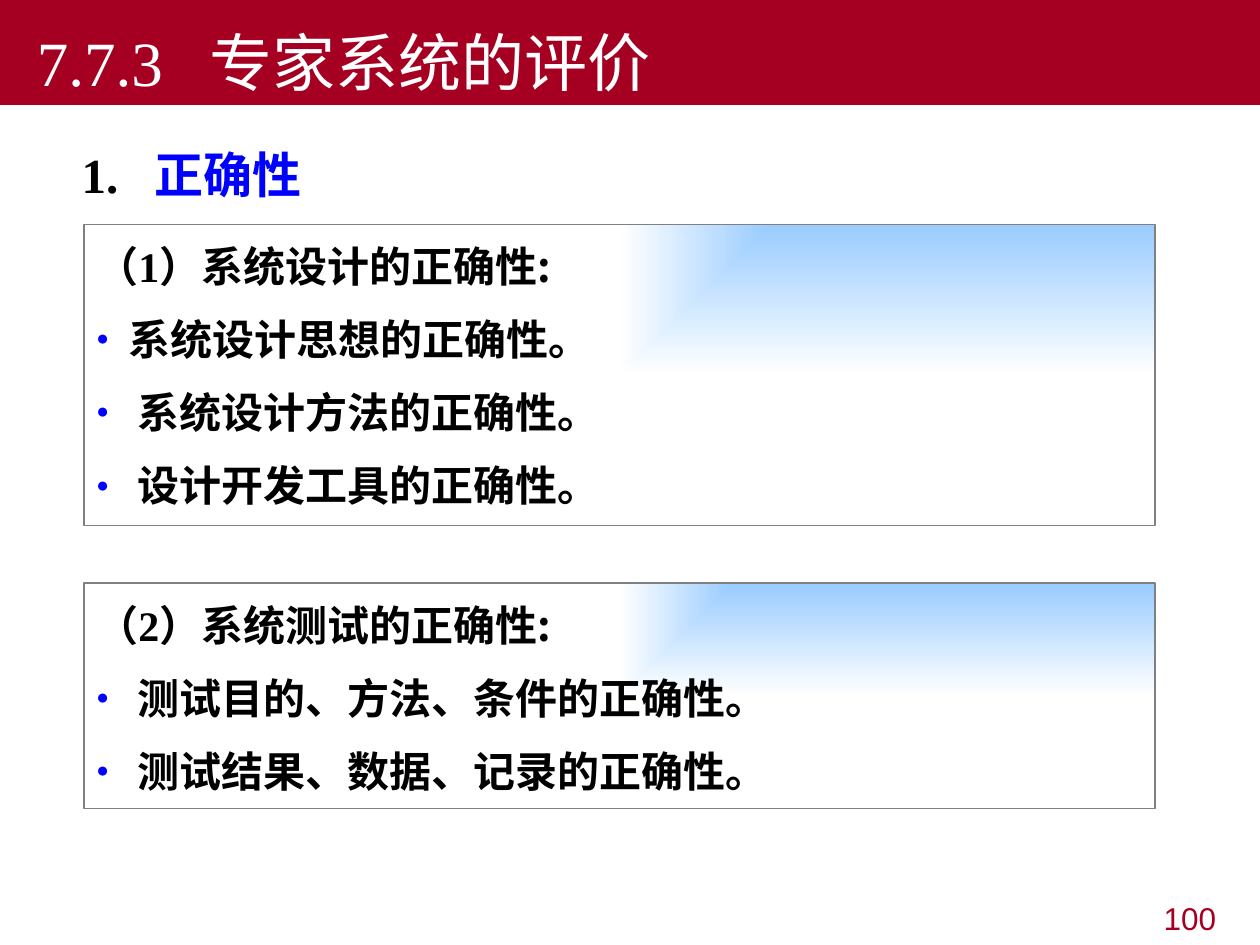
"""Build the slide on judging the correctness of an expert system."""
from lxml import etree
from pptx import Presentation
from pptx.dml.color import RGBColor
from pptx.enum.shapes import MSO_SHAPE
from pptx.enum.text import MSO_ANCHOR, PP_ALIGN
from pptx.oxml.ns import qn
from pptx.util import Pt

RECTANGLE = MSO_SHAPE.RECTANGLE
TOP, BOTTOM = MSO_ANCHOR.TOP, MSO_ANCHOR.BOTTOM
LEFT, RIGHT = PP_ALIGN.LEFT, PP_ALIGN.RIGHT


def rgb(value):
    """Turn a hex string into a colour."""
    return RGBColor.from_string(value)


class SlideBuilder:
    """Hold the style and the current slide, and draw each kind of element."""

    RED, BLUE, SKY = "A50021", "0000FF", "99CCFF"
    BLACK, WHITE, GREY = "000000", "FFFFFF", "808080"
    SERIF, SANS, CHINESE = "Times New Roman", "Arial", "Noto Sans CJK SC"

    def __init__(self, presentation):
        self.slide = presentation.slides.add_slide(presentation.slide_layouts[6])

    def run(self, paragraph, text, size, color, font, bold=False):
        """Add one formatted run."""
        run = paragraph.add_run()
        run.text = text
        run.font.size = Pt(size)
        run.font.bold = bold
        run.font.color.rgb = rgb(color)
        run.font.name = font
        etree.SubElement(run.font._element, qn("a:ea"), typeface=self.CHINESE)

    def indent(self, paragraph, margin, first=0, tab=False):
        """Set the left margin and first-line offset, with a tab stop at the margin."""
        properties = paragraph._p.get_or_add_pPr()
        properties.set("marL", str(Pt(margin)))
        properties.set("indent", str(Pt(first)))
        if tab:
            stops = etree.SubElement(properties, qn("a:tabLst"))
            etree.SubElement(stops, qn("a:tab"), pos=str(Pt(margin)), algn="l")

    def bullet(self, paragraph, hang):
        """Give a paragraph a small blue bullet."""
        self.indent(paragraph, hang, -hang)
        properties = paragraph._p.get_or_add_pPr()
        color = etree.SubElement(properties, qn("a:buClr"))
        etree.SubElement(color, qn("a:srgbClr"), val=self.BLUE)
        etree.SubElement(properties, qn("a:buSzPct"), val="50000")
        etree.SubElement(properties, qn("a:buFont"), typeface=self.SERIF)
        etree.SubElement(properties, qn("a:buChar"), char="●")

    def rectangle(self, left, top, width, height, anchor):
        """Add a plain rectangle and return it."""
        shape = self.slide.shapes.add_shape(
            RECTANGLE, Pt(left), Pt(top), Pt(width), Pt(height))
        shape.shadow.inherit = False
        shape.text_frame.word_wrap = True
        shape.text_frame.vertical_anchor = anchor
        return shape

    def text_box(self, left, top, width, height, align=LEFT):
        """Add a wrapping text box and return its first paragraph."""
        frame = self.slide.shapes.add_textbox(
            Pt(left), Pt(top), Pt(width), Pt(height)).text_frame
        frame.word_wrap = True
        frame.paragraphs[0].alignment = align
        return frame.paragraphs[0]

    def title(self, number, text):
        """Add the title band."""
        band = self.rectangle(0, 0, 720, 60, BOTTOM)
        band.fill.solid()
        band.fill.fore_color.rgb = rgb(self.RED)
        band.line.fill.background()
        paragraph = band.text_frame.paragraphs[0]
        self.indent(paragraph, 112.6, -98.6, tab=True)
        paragraph.alignment = LEFT
        self.run(paragraph, f"{number}\t{text}", 36, self.WHITE, self.SERIF)

    def heading(self, number, text):
        """Add the numbered heading."""
        paragraph = self.text_box(39.6, 72.5, 680.4, 50)
        self.indent(paragraph, 41.6, -41.6, tab=True)
        paragraph.line_spacing = 1.2
        self.run(paragraph, f"{number}\t", 28, self.BLACK, self.SERIF, True)
        self.run(paragraph, text, 28, self.BLUE, self.SERIF, True)

    def panel(self, top, height, number, topic, points):
        """Add a gradient panel with a topic line and (text, hang) bullet points."""
        panel = self.rectangle(48, top, 612, height, TOP)
        panel.line.color.rgb = rgb(self.GREY)
        panel.line.width = Pt(0.75)
        panel.fill.gradient()
        for stop, color in zip(panel.fill.gradient_stops, (self.SKY, self.WHITE)):
            stop.color.rgb = rgb(color)
        gradient = panel._element.spPr.find(qn("a:gradFill"))
        gradient.remove(gradient.find(qn("a:lin")))
        corner = etree.SubElement(gradient, qn("a:path"), path="rect")
        etree.SubElement(corner, qn("a:fillToRect"), l="100000", b="100000")

        frame = panel.text_frame
        topic_line = frame.paragraphs[0]
        self.run(topic_line, number, 24, self.BLACK, self.SERIF, True)
        self.run(topic_line, topic, 24, self.BLACK, self.CHINESE, True)
        for text, hang in points:
            point = frame.add_paragraph()
            self.bullet(point, hang)
            point.space_before = Pt(7.2)
            self.run(point, text, 24, self.BLACK, self.CHINESE, True)
        for paragraph in frame.paragraphs:
            paragraph.alignment = LEFT
            paragraph.line_spacing = 1.2

    def page_number(self, number):
        """Add the page number at the lower right."""
        paragraph = self.text_box(545.8, 510, 156.2, 28, RIGHT)
        self.run(paragraph, number, 18, self.RED, self.SANS)


def main():
    """Build and save the slide."""
    presentation = Presentation()
    presentation.slide_width, presentation.slide_height = Pt(720), Pt(540)
    builder = SlideBuilder(presentation)
    builder.page_number("100")
    builder.title("7.7.3", "专家系统的评价")
    builder.heading("1.", "正确性")
    builder.panel(128.2, 172, "（1）", "系统设计的正确性:", [
        ("系统设计思想的正确性。", 18.6),
        ("系统设计方法的正确性。", 23.6),
        ("设计开发工具的正确性。", 23.6),
    ])
    builder.panel(333.2, 129, "（2）", "系统测试的正确性:", [
        ("测试目的、方法、条件的正确性。", 23.6),
        ("测试结果、数据、记录的正确性。", 23.6),
    ])
    presentation.save("out.pptx")


if __name__ == "__main__":
    main()
